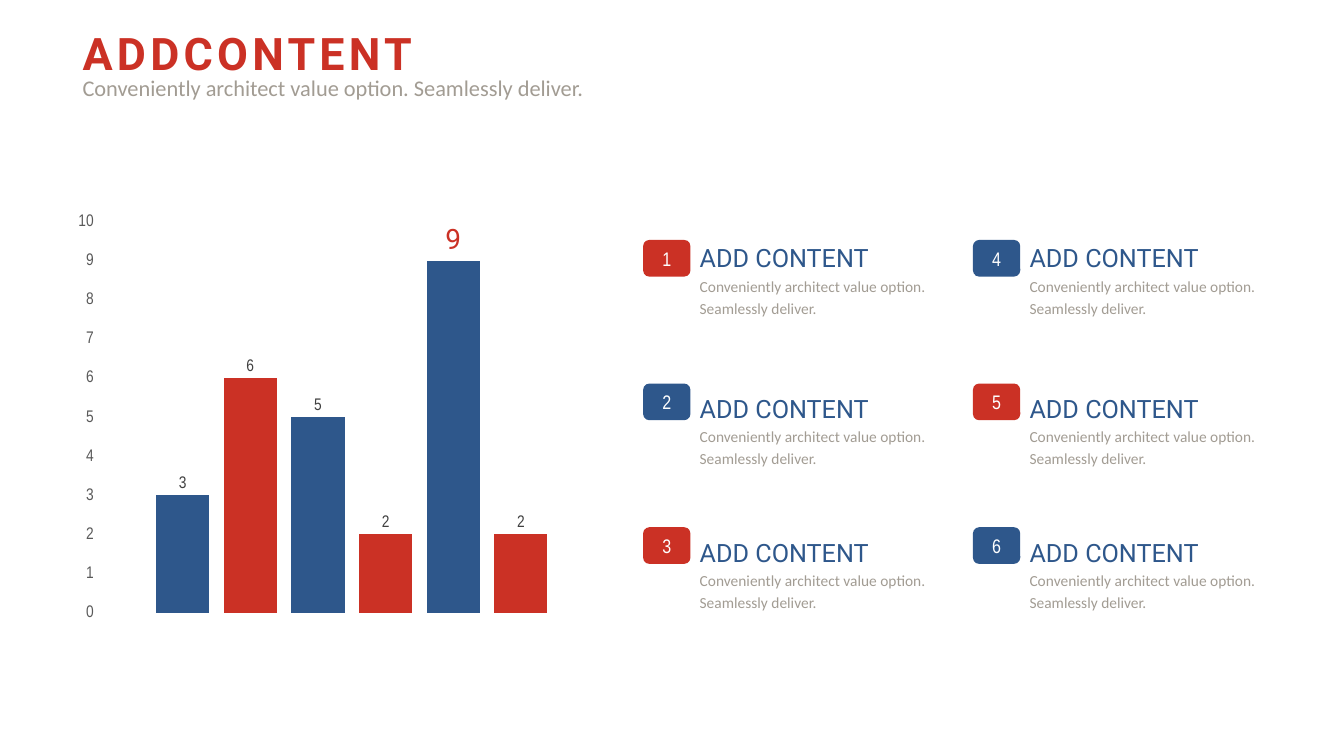
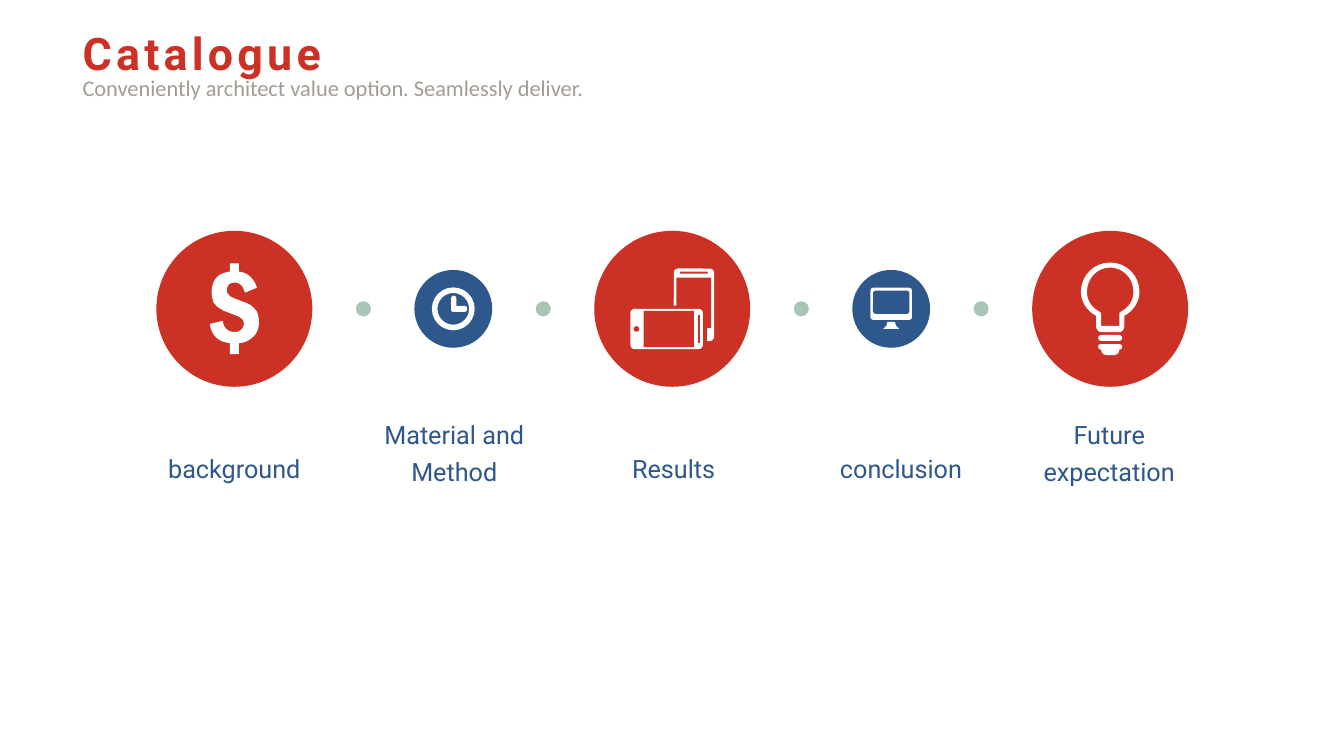
from pptx import Presentation
from pptx.chart.data import CategoryChartData
from pptx.dml.color import RGBColor
from pptx.enum.chart import XL_CHART_TYPE, XL_LABEL_POSITION, XL_TICK_MARK
from pptx.enum.shapes import MSO_SHAPE
from pptx.enum.text import MSO_ANCHOR, MSO_AUTO_SIZE, PP_ALIGN
from pptx.oxml.ns import qn
from pptx.util import Pt

RED, BLUE, GREEN, WHITE = "CB3125", "2E578B", "A9C4B5", "FFFFFF"
GREY, AXIS_GREY, LABEL_GREY = "A29C93", "595959", "404040"
SUBTITLE = "Conveniently architect value option. Seamlessly deliver."

TITLE = {"name": "Roboto", "size": Pt(32), "bold": True, "color": RED}
INTRO = {"name": "Calibri", "size": Pt(16), "color": GREY}
HEADING = {"name": "Roboto", "size": Pt(18), "color": BLUE}
DETAIL = {"name": "Calibri", "size": Pt(11), "color": GREY}
NUMBER = {"name": "Arial Narrow", "size": Pt(14), "color": WHITE}
AXIS = {"name": "Arial Narrow", "size": Pt(12), "color": AXIS_GREY}
VALUE = {**AXIS, "color": LABEL_GREY}
TOP_VALUE = {"name": "Roboto", "size": Pt(20), "color": RED}

# Outlines are in points from the disc centre:
# a pair is a corner, six numbers are a Bézier curve.
DOLLAR = [
    (16.2, 2.2), (16.9, 4.3, 17.6, 6.5, 17.6, 9.4),
    (17.6, 13.7, 16.2, 17.3, 14, 19.4), (11.2, 22.3, 7.6, 24.5, 3.2, 24.5),
    (3.2, 32.4), (-3.2, 32.4), (-3.2, 24.5),
    (-11.2, 23.8, -16.2, 19.4, -17.6, 10.8), (-8.3, 8.6),
    (-7.6, 13.7, -4.7, 16.6, 0.4, 16.6), (2.5, 16.6, 4, 15.8, 5.4, 14.4),
    (6.1, 13.7, 6.8, 12.2, 6.8, 10.8), (6.8, 8.6, 6.1, 7.9, 5.4, 7.2),
    (4, 5.8, 1.8, 5, -1.8, 3.6), (-5.4, 2.2, -8.3, 1.4, -9.7, 0),
    (-11.9, -0.7, -13.3, -2.9, -14.8, -4.3),
    (-15.5, -6.5, -16.2, -9.4, -16.2, -11.5),
    (-16.2, -15.1, -15.5, -18.7, -13.3, -21.6),
    (-11.2, -24.5, -7.6, -25.9, -3.2, -26.6),
    (-3.2, -32.4), (3.2, -32.4), (3.2, -26.6),
    (9.7, -25.9, 14, -21.6, 16.2, -15.1), (7.6, -11.5),
    (6.1, -16.6, 4, -18.7, 0.4, -18.7), (-1.8, -18.7, -3.2, -18, -4, -17.3),
    (-4.7, -15.8, -5.4, -15.1, -5.4, -13),
    (-5.4, -11.5, -4.7, -10.8, -4, -10.1),
    (-3.2, -8.6, -1.1, -7.9, 2.5, -6.5), (6.1, -5, 9, -4.3, 11.2, -2.9),
    (13.3, -1.4, 14.8, 0, 16.2, 2.2),
]
BULB_LEFT_OUTER = [
    (0, -33.1), (-11.5, -33.1, -20.9, -23.8, -20.9, -12.2),
    (-20.9, -5, -16.6, 1.4, -10.1, 5), (-10.1, 12.2),
    (-10.1, 14.4, -8.6, 16.6, -6.5, 16.6),
]
BULB_LEFT_INNER = [
    (0, -29.5), (-9.4, -29.5, -16.6, -21.6, -16.6, -12.2),
    (-16.6, -6.5, -13.7, -1.4, -8.6, 1.4), (-6.5, 2.9), (-6.5, 12.2),
]
STAND_LEFT = [(-2.7, 9.4), (-3.4, 12), (-5.8, 14.4)]


def rgb(color):
    return RGBColor.from_string(color)


def set_font(font, style):
    for name, value in style.items():
        if name == "color":
            font.color.rgb = rgb(value)
        else:
            setattr(font, name, value)


def write(tf, lines, align=PP_ALIGN.LEFT, spacing=1.2):
    """Fill a text frame with (text, style) paragraphs."""
    tf.word_wrap = True
    for i, (text, style) in enumerate(lines):
        p = tf.add_paragraph() if i else tf.paragraphs[0]
        p.alignment, p.line_spacing, p.space_before = align, spacing, Pt(0)
        r = p.add_run()
        r.text = text
        set_font(r.font, style)


def add_text(s, x, y, w, h, lines, align=PP_ALIGN.LEFT):
    sp = s.shapes.add_textbox(Pt(x), Pt(y), Pt(w), Pt(h))
    write(sp.text_frame, lines, align)


def paint(sp, color):
    sp.shadow.inherit = False
    sp.fill.solid()
    sp.fill.fore_color.rgb = rgb(color)
    sp.line.fill.background()


def add_shape(s, kind, x, y, w, h, color, adjust=None):
    sp = s.shapes.add_shape(kind, Pt(x), Pt(y), Pt(w), Pt(h))
    paint(sp, color)
    if adjust is not None:
        sp.adjustments[0] = adjust
    return sp


def add_round(s, x, y, w, h, color, radius):
    """Rounded rectangle with its corner radius in points."""
    return add_shape(s, MSO_SHAPE.ROUNDED_RECTANGLE, x, y, w, h, color,
                     radius / min(w, h))


def add_circle(s, cx, cy, size, color):
    add_shape(s, MSO_SHAPE.OVAL, cx - size / 2, cy - size / 2, size, size, color)


def flatten(segments, steps=8):
    """Turn corners and curves into a list of points."""
    points = []
    for seg in segments:
        if len(seg) == 2:
            points.append(seg)
            continue
        controls = [points[-1], seg[:2], seg[2:4], seg[4:]]
        for i in range(1, steps + 1):
            t = i / steps
            weights = ((1 - t) ** 3, 3 * t * (1 - t) ** 2,
                       3 * t * t * (1 - t), t ** 3)
            points.append(tuple(sum(k * c[axis] for k, c in zip(weights, controls))
                                for axis in (0, 1)))
    return points


def mirrored(left):
    points = flatten(left)
    return points + [(-x, y) for x, y in reversed(points)]


def add_outline(s, cx, cy, contours, color):
    """Freeform of closed contours; a second contour cuts a hole."""
    builder = None
    for contour in contours:
        points = [(Pt(cx + x), Pt(cy + y)) for x, y in contour]
        if builder is None:
            builder = s.shapes.build_freeform(*points[0])
        else:
            builder.move_to(*points[0])
        builder.add_line_segments(points[1:], close=True)
    paint(builder.convert_to_shape(), color)


def add_rounds(s, cx, cy, parts):
    for x, y, w, h, color, radius in parts:
        add_round(s, cx + x, cy + y, w, h, color, radius)


def draw_dollar(s, cx, cy):
    add_outline(s, cx, cy, [flatten(DOLLAR)], WHITE)


def draw_clock(s, cx, cy):
    add_shape(s, MSO_SHAPE.DONUT, cx - 15.3, cy - 15.3, 30.6, 30.6, WHITE, 0.13)
    add_rounds(s, cx, cy, [(-1.6, -9.4, 3.8, 11.6, WHITE, 1.8),
                           (-1.6, -2.1, 11.5, 4.3, WHITE, 1.8)])


def draw_phones(s, cx, cy):
    add_rounds(s, cx, cy, [
        (1.1, -28.8, 28.8, 51.8, WHITE, 3),
        (2.9, -22.3, 24.8, 36, RED, 0),
        (5.4, -26.6, 20, 1.4, RED, 0.7),
        (-32, -2.2, 56.8, 33, RED, 0),
        (-29.9, 0, 51.8, 28.8, WHITE, 3),
        (-20.5, 1.4, 36, 25.9, RED, 0),
        (18.4, 4.3, 1.4, 20.2, RED, 0.7),
    ])
    add_circle(s, cx - 25.6, cy + 14.4, 4, RED)


def draw_monitor(s, cx, cy):
    add_rounds(s, cx, cy, [(-14.8, -15.1, 29.6, 23, WHITE, 2),
                           (-13, -13, 26, 16.6, BLUE, 2)])
    add_outline(s, cx, cy, [mirrored(STAND_LEFT)], WHITE)


def draw_bulb(s, cx, cy):
    add_outline(s, cx, cy,
                [mirrored(BULB_LEFT_OUTER), mirrored(BULB_LEFT_INNER)], WHITE)
    add_rounds(s, cx, cy, [(-8.6, 18.7, 17.2, 4.2, WHITE, 2.1),
                           (-8.6, 25.2, 17.2, 3.9, WHITE, 1.9),
                           (-6.5, 25.2, 13, 7.9, WHITE, 3.9)])


def add_slide(prs, title):
    """Slide with the shared title and subtitle."""
    s = prs.slides.add_slide(prs.slide_layouts[1])
    body = s.placeholders[1]
    for sp, y, w, h in ((s.shapes.title, 7.2, 337, 49), (body, 49, 443.5, 26.6)):
        sp.left, sp.top, sp.width, sp.height = Pt(51.8), Pt(y), Pt(w), Pt(h)
        sp.text_frame.vertical_anchor = MSO_ANCHOR.TOP
        sp.text_frame.auto_size = MSO_AUTO_SIZE.NONE
    write(s.shapes.title.text_frame, [(title, TITLE)])
    r = s.shapes.title.text_frame.paragraphs[0].runs[0]
    r.font._element.set("spc", "300")

    pPr = body.text_frame.paragraphs[0]._p.get_or_add_pPr()
    pPr.set("marL", "0")
    pPr.set("indent", "0")
    pPr.append(pPr.makeelement(qn("a:buNone"), {}))
    write(body.text_frame, [(SUBTITLE, INTRO)], spacing=1.0)
    return s


def add_columns(s, values):
    data = CategoryChartData()
    data.categories = ["1"]
    for i, value in enumerate(values, 1):
        data.add_series(f"Series {i}", [value])
    chart = s.shapes.add_chart(XL_CHART_TYPE.COLUMN_CLUSTERED, Pt(48.2), Pt(146.9),
                               Pt(392.4), Pt(302.4), data).chart
    chart.has_legend = chart.has_title = False
    set_font(chart.font, AXIS)
    chart.category_axis.visible = False
    axis = chart.value_axis
    axis.minimum_scale, axis.maximum_scale, axis.major_unit = 0, 10, 1
    axis.has_major_gridlines = False
    axis.major_tick_mark = axis.minor_tick_mark = XL_TICK_MARK.NONE
    axis.format.line.fill.background()
    set_font(axis.tick_labels.font, AXIS)

    plot = chart.plots[0]
    plot.gap_width, plot.overlap, plot.vary_by_categories = 219, -27, False
    for i, (series, value) in enumerate(zip(plot.series, values)):
        series.format.fill.solid()
        series.format.fill.fore_color.rgb = rgb(RED if i % 2 else BLUE)
        labels = series.data_labels
        labels.show_value = True
        labels.position = XL_LABEL_POSITION.OUTSIDE_END
        set_font(labels.font, TOP_VALUE if value == max(values) else VALUE)


def add_card(s, number, x, badge_y, text_y):
    badge = add_round(s, x, badge_y, 33.8, 26.2, RED if number % 2 else BLUE, 4.4)
    tf = badge.text_frame
    tf.margin_left = tf.margin_right = tf.margin_top = tf.margin_bottom = 0
    tf.vertical_anchor = MSO_ANCHOR.MIDDLE
    write(tf, [(str(number), NUMBER)], PP_ALIGN.CENTER, 1.0)
    add_text(s, x + 33.3, text_y, 178.6, 64,
             [("ADD CONTENT", HEADING), (SUBTITLE, DETAIL)])


def build_chart_slide(prs):
    s = add_slide(prs, "ADDCONTENT")
    add_columns(s, [3, 6, 5, 2, 9, 2])
    text_tops = (165.6, 272.9, 375.8)
    for i in range(6):
        col, row = divmod(i, 3)
        add_card(s, i + 1, 459.4 + 235.6 * col, 171.4 + 102.6 * row, text_tops[row])


def build_catalogue_slide(prs):
    s = add_slide(prs, "Catalogue")
    large, small, dot = 111.4, 55.6, 10.8
    first, pitch, cy = 167.4, 156.4, 220.6
    one_line, two_lines = 316, 292
    steps = [
        ("background", one_line, 0, draw_dollar),
        ("Material and Method", two_lines, 0.7, draw_clock),
        ("Results", one_line, 1, draw_phones),
        ("conclusion", one_line, 7, draw_monitor),
        ("Future expectation", two_lines, -0.7, draw_bulb),
    ]
    for i, (label, top, shift, draw_icon) in enumerate(steps):
        cx = first + pitch * i
        size, color = (small, BLUE) if i % 2 else (large, RED)
        add_circle(s, cx, cy, size, color)
        draw_icon(s, cx, cy)
        add_text(s, cx + shift - 64.5, top, 129, 33 if top == one_line else 60,
                 [(label, HEADING)], PP_ALIGN.CENTER)
        if i < len(steps) - 1:
            lean = (large - small) / 4 * (-1 if i % 2 else 1)
            add_circle(s, cx + pitch / 2 + lean, cy, dot, GREEN)


def main():
    prs = Presentation()
    prs.slide_width, prs.slide_height = Pt(960), Pt(540)
    build_chart_slide(prs)
    build_catalogue_slide(prs)
    prs.save("out.pptx")


if __name__ == "__main__":
    main()
